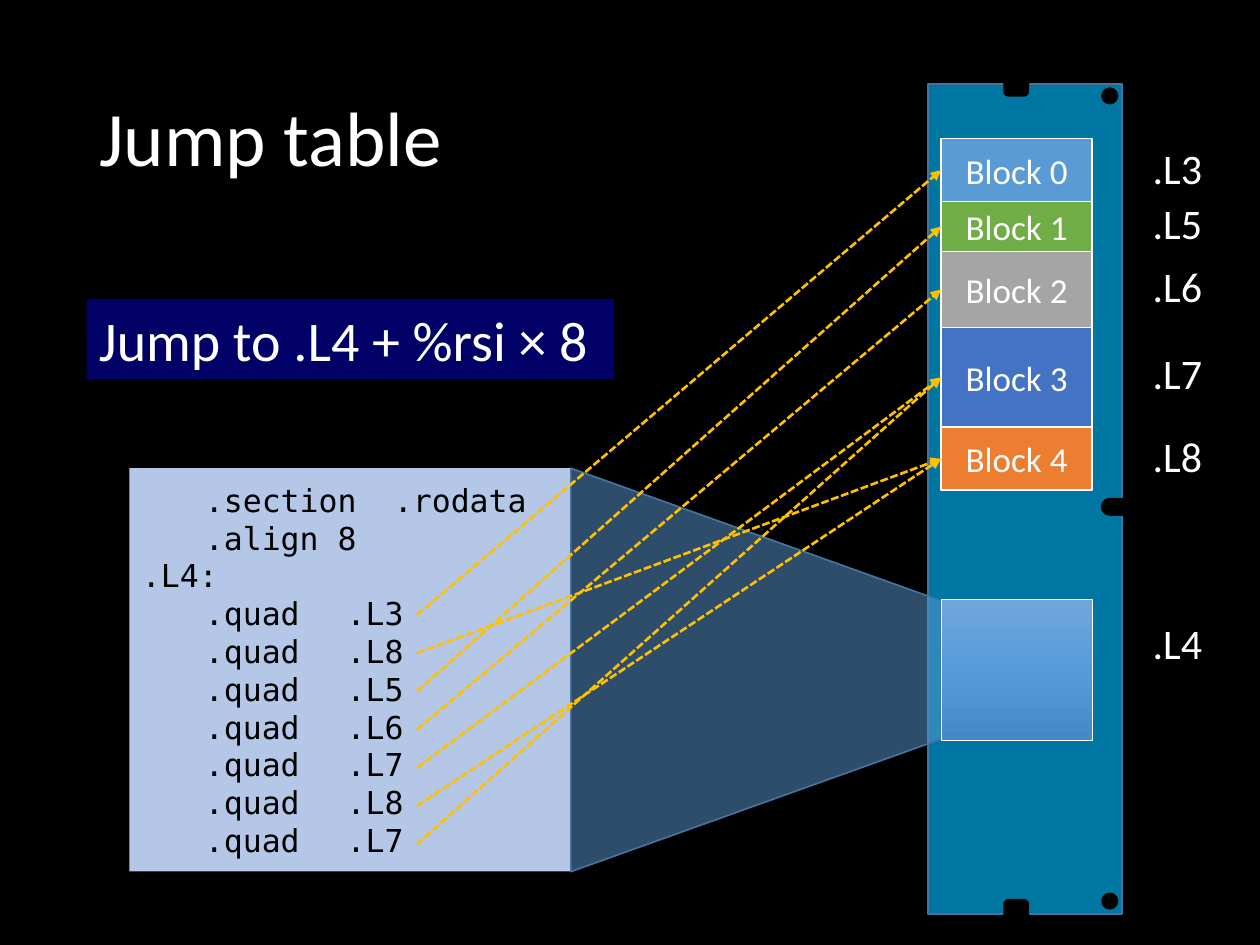
"""Build a slide that shows how a jump table leads to code blocks in memory."""
from copy import deepcopy

from pptx import Presentation
from pptx.dml.color import RGBColor
from pptx.enum.dml import MSO_LINE
from pptx.enum.shapes import MSO_CONNECTOR, MSO_SHAPE
from pptx.enum.text import MSO_ANCHOR, MSO_AUTO_SIZE, PP_ALIGN
from pptx.oxml.ns import qn
from pptx.util import Pt
from lxml import etree

RECT, ROUND = MSO_SHAPE.RECTANGLE, MSO_SHAPE.ROUNDED_RECTANGLE
OVAL, TRAP = MSO_SHAPE.OVAL, MSO_SHAPE.TRAPEZOID
STRAIGHT, DASH = MSO_CONNECTOR.STRAIGHT, MSO_LINE.SQUARE_DOT
LEFT, CENTER = PP_ALIGN.LEFT, PP_ALIGN.CENTER
TOP, MIDDLE = MSO_ANCHOR.TOP, MSO_ANCHOR.MIDDLE
GROW = MSO_AUTO_SIZE.SHAPE_TO_FIT_TEXT

BLACK = RGBColor(0x00, 0x00, 0x00)
WHITE = RGBColor(0xFF, 0xFF, 0xFF)
PALE = RGBColor(0xB4, 0xC7, 0xE7)
NAVY = RGBColor(0x00, 0x00, 0xCC)
TEAL = RGBColor(0x00, 0x77, 0xA2)
EDGE = RGBColor(0x43, 0x73, 0x9E)
BLUE = RGBColor(0x5B, 0x9B, 0xD5)
GREEN = RGBColor(0x70, 0xAD, 0x47)
GRAY = RGBColor(0xA5, 0xA5, 0xA5)
ROYAL = RGBColor(0x44, 0x72, 0xC4)
ORANGE = RGBColor(0xED, 0x7D, 0x31)
GOLD = RGBColor(0xFF, 0xC0, 0x00)
SHADES = [RGBColor(0x71, 0xA6, 0xDB), RGBColor(0x55, 0x9B, 0xDB), RGBColor(0x44, 0x8A, 0xCA)]

deck = Presentation()
deck.slide_width, deck.slide_height = Pt(720), Pt(540)
slide = deck.slides.add_slide(deck.slide_layouts[5])
slide.background.fill.solid()
slide.background.fill.fore_color.rgb = BLACK
shapes = slide.shapes


def box(kind, x, y, w, h, fill, edge=None, turn=0):
    shape = shapes.add_shape(kind, Pt(x), Pt(y), Pt(w), Pt(h))
    shape.shadow.inherit = False
    shape.rotation = turn
    shape.fill.solid()
    shape.fill.fore_color.rgb = fill
    if edge is None:
        shape.line.fill.background()
    else:
        shape.line.color.rgb = edge
        shape.line.width = Pt(1)
    return shape


def write(shape, text, size, color=WHITE, font="Calibri", align=LEFT, anchor=MIDDLE, wrap=True):
    frame = shape.text_frame
    frame.text = text
    frame.word_wrap = wrap
    frame.vertical_anchor = anchor
    if not wrap:
        frame.auto_size = GROW
    for para in frame.paragraphs:
        para.alignment = align
        for run in para.runs:
            run.font.size, run.font.name = Pt(size), font
            run.font.color.rgb = color


title = shapes.title
title.left, title.top, title.width, title.height = Pt(49.5), Pt(29), Pt(621), Pt(104)
write(title, "Jump table", 44)
title.text_frame.paragraphs[0].line_spacing = 0.9

quads = [".L3", ".L8", ".L5", ".L6", ".L7", ".L8", ".L7"]
lines = ["\t.section\t.rodata", "\t.align 8", ".L4:"] + [f"\t.quad\t{name}" for name in quads]
code = box(RECT, 74, 267.5, 252, 230.5, PALE)
write(code, "\n".join(lines), 18, BLACK, "DejaVu Sans Mono")
for para in code.text_frame.paragraphs:
    tabs = etree.Element(qn("a:tabLst"))
    for stop in (36, 117):
        etree.SubElement(tabs, qn("a:tab"), pos=str(Pt(stop)), algn="l")
    para._p.get_or_add_pPr().append(tabs)

rule = box(RECT, 49.5, 170.8, 301.5, 46, NAVY)
write(rule, "Jump to .L4 + %rsi × 8", 32, anchor=TOP, wrap=False)

box(RECT, 348.5, 229.8, 474.5, 110.8, TEAL, EDGE, 270)
for y in (514.8, 40.3):
    box(ROUND, 573.2, y, 15, 13.7, BLACK, BLACK, 270)
for y in (510.5, 50.4):
    box(OVAL, 629.8, y, 8.8, 8.8, BLACK, BLACK, 270)
slot = box(ROUND, 634.5, 280, 9.3, 19.2, BLACK, BLACK, 270)
slot.adjustments[0] = 0.495

blocks = {}
y = 79.2
parts = [(".L3", 36, BLUE), (".L5", 28.5, GREEN), (".L6", 43.5, GRAY), (".L7", 57, ROYAL), (".L8", 36, ORANGE)]
for i, (name, high, color) in enumerate(parts):
    blocks[name] = box(RECT, 537.8, y, 86.4, high, color, WHITE)
    write(blocks[name], f"Block {i}", 20, align=CENTER)
    y += high

cone = box(TRAP, 316.8, 277, 230.5, 211.7, BLUE, EDGE, 90)
cone.adjustments[0] = 0.358
for shape in (rule, cone):
    tone = shape.element.spPr.find(qn("a:solidFill")).find(qn("a:srgbClr"))
    etree.SubElement(tone, qn("a:alpha"), val="50000")

table = box(RECT, 537.8, 342.7, 86.4, 80.6, BLUE, WHITE)
table.line.width = Pt(0.5)
table.fill.gradient()
table.fill.gradient_angle = 270
stops = table.element.spPr.find(qn("a:gradFill")).find(qn("a:gsLst"))
stops.insert(1, deepcopy(stops[0]))
for stop, place, color in zip(table.fill.gradient_stops, (0, 0.5, 1), SHADES):
    stop.position = place
    stop.color.rgb = color

for i, name in enumerate(quads):
    y = Pt(351.4 + 21.84 * i)
    arrow = shapes.add_connector(STRAIGHT, Pt(238.3), y, Pt(537.8), y)
    arrow.end_connect(blocks[name], 1)
    arrow.line.color.rgb = GOLD
    arrow.line.width = Pt(1.5)
    arrow.line.dash_style = DASH
    props = arrow.element.spPr
    etree.SubElement(props.find(qn("a:ln")), qn("a:tailEnd"), type="triangle")
    etree.SubElement(props, qn("a:effectLst"))

spots = [(".L3", 77.8), (".L5", 109.4), (".L6", 145.4), (".L7", 195.1), (".L8", 242.6), (".L4", 349.2)]
for name, y in spots:
    label = shapes.add_textbox(Pt(651.6), Pt(y), Pt(45), Pt(36))
    write(label, name, 24, anchor=TOP, wrap=False)

deck.save("out.pptx")
